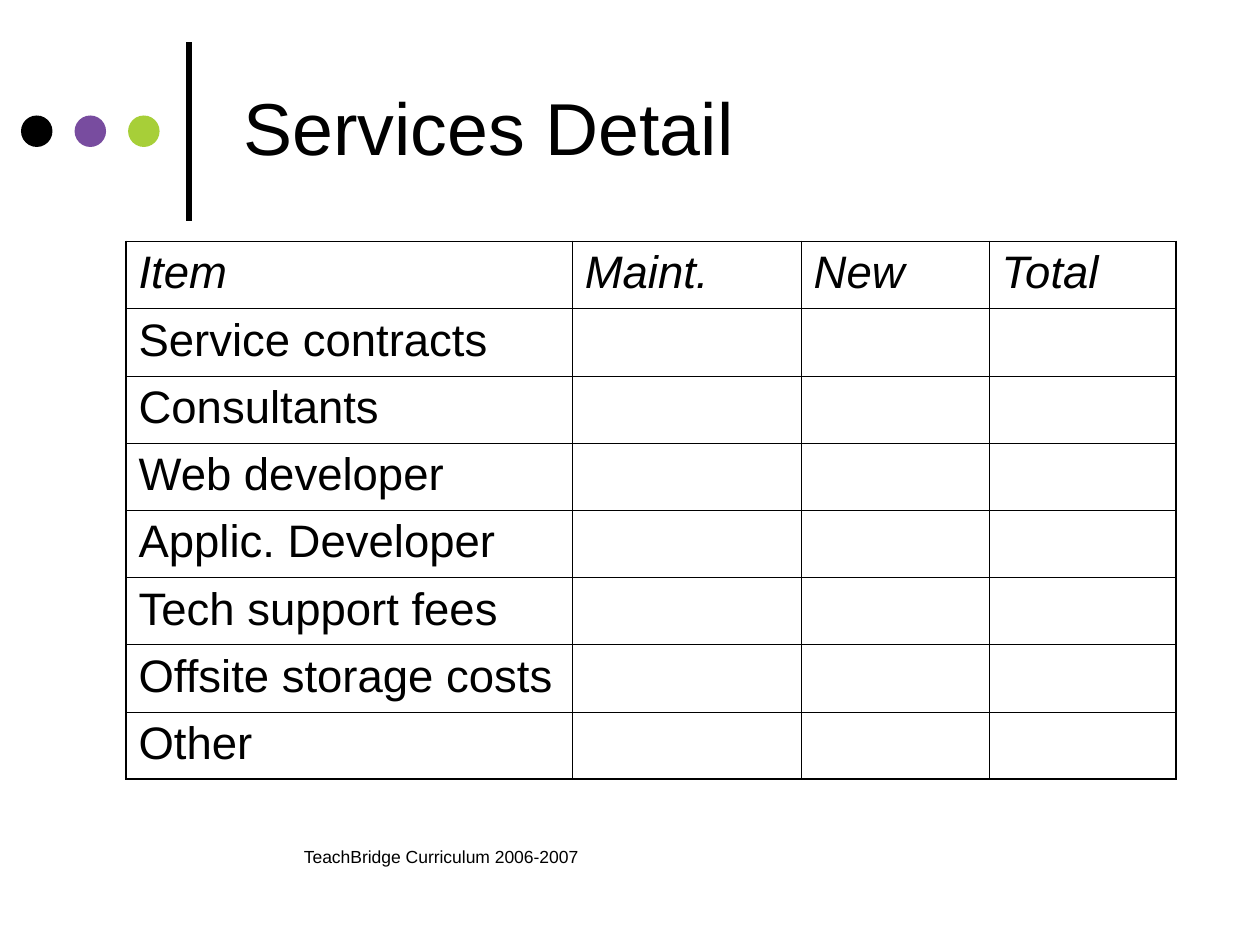
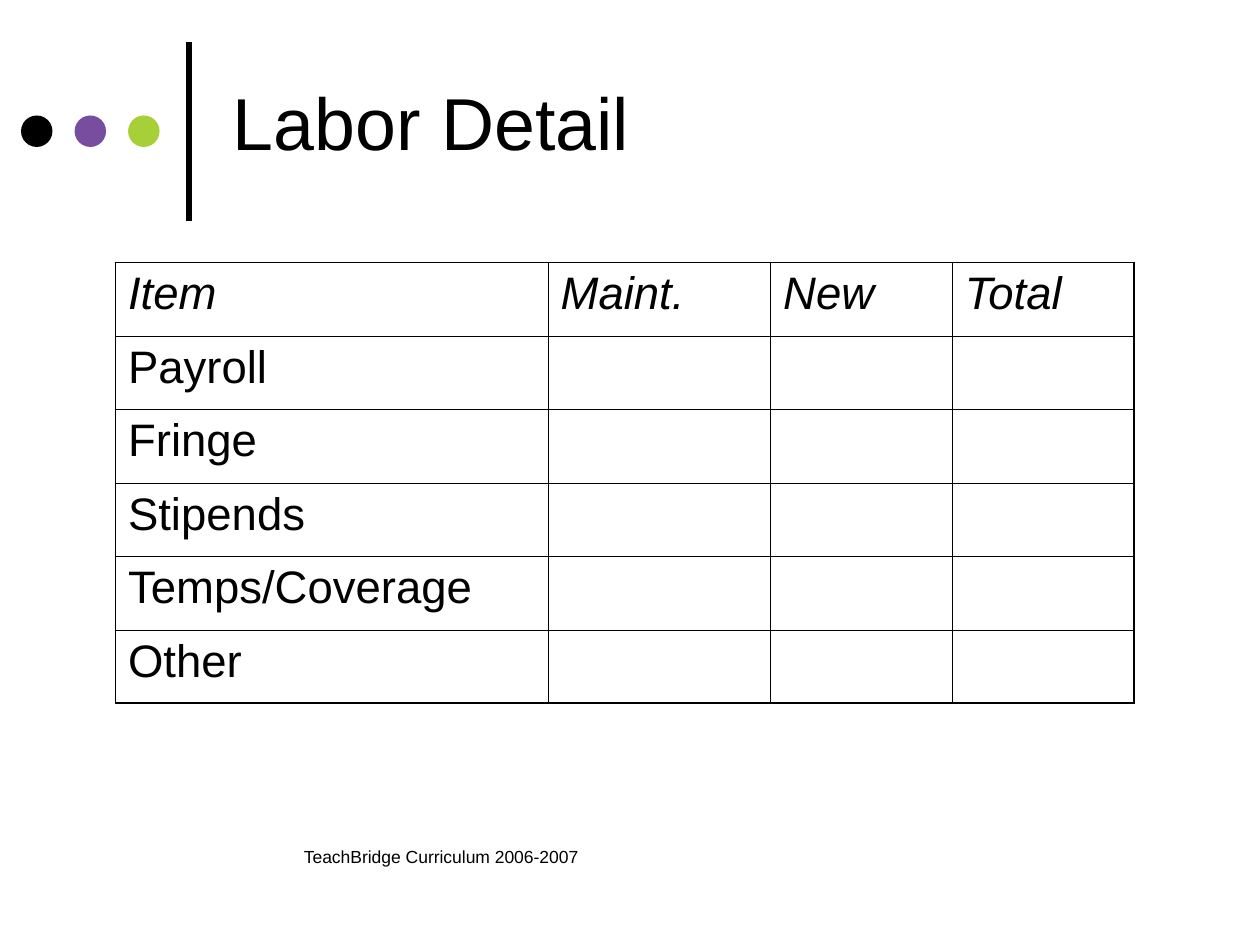
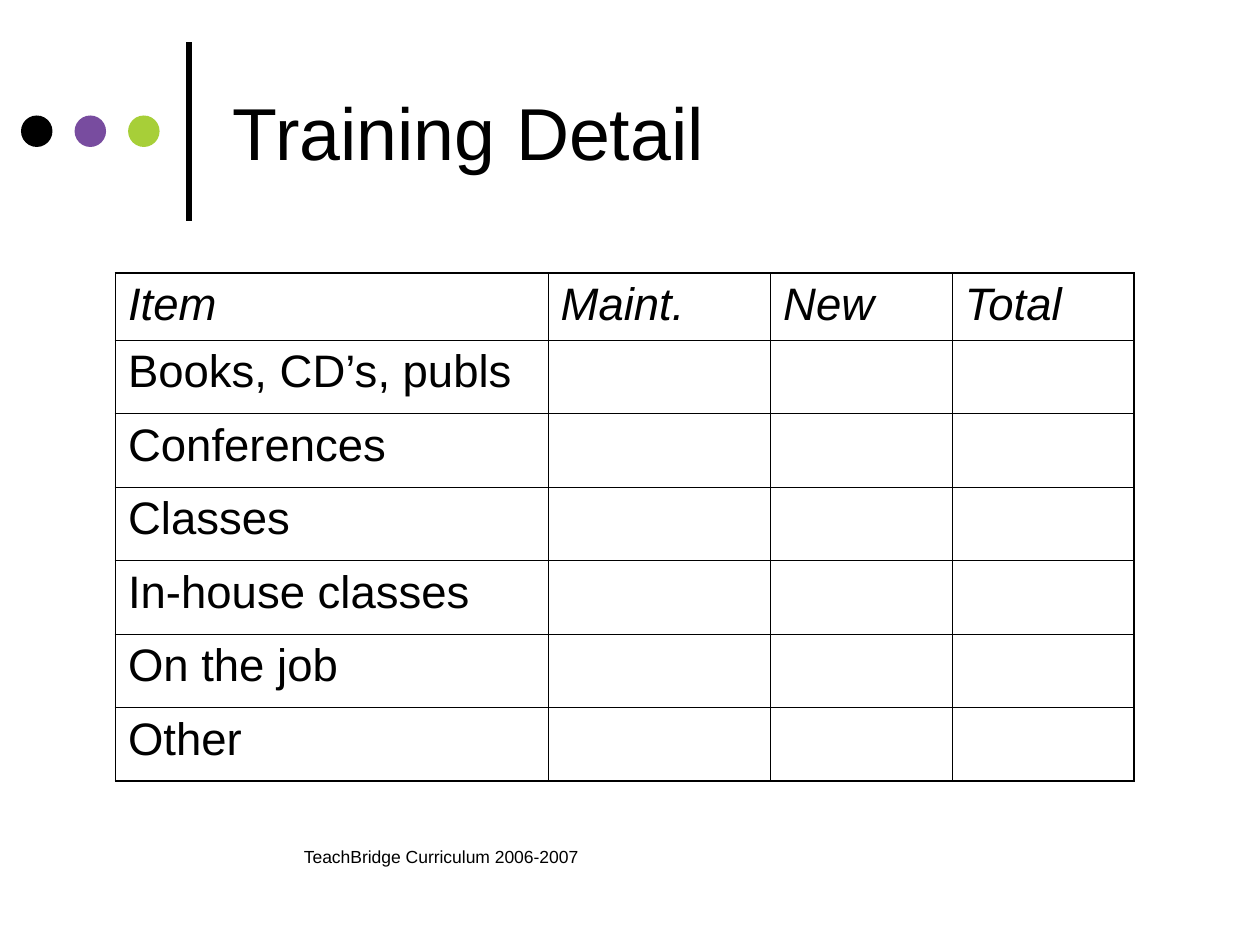
from dataclasses import dataclass

from lxml import etree
from pptx import Presentation
from pptx.dml.color import RGBColor
from pptx.enum.shapes import MSO_CONNECTOR, MSO_SHAPE
from pptx.enum.text import MSO_ANCHOR, PP_ALIGN
from pptx.oxml.ns import qn
from pptx.util import Pt

STRAIGHT = MSO_CONNECTOR.STRAIGHT
OVAL = MSO_SHAPE.OVAL
TOP, MIDDLE = MSO_ANCHOR.TOP, MSO_ANCHOR.MIDDLE
LEFT, CENTER = PP_ALIGN.LEFT, PP_ALIGN.CENTER
EMU_PER_PX = 7620


@dataclass(frozen=True)
class Theme:
    """Colours, font, type sizes and line widths of the deck."""
    ink: str = "000000"
    dots: tuple = ("000000", "784C9F", "A7CF38")
    font: str = "Arial"
    title: int = 42
    body: int = 26
    footer: int = 10
    cell_gap: float = 6.5
    rule: float = 3
    outer: float = 1.08
    inner: float = 0.45


THEME = Theme()
SLIDE_SIZE = (1200, 900)
MOTIF_BOX = (20, 40, 160, 170)
FOOTER_BOX = (230, 800, 380, 60)
FOOTER = "TeachBridge Curriculum 2006-2007"
HEADERS = ("Item", "Maint.", "New", "Total")
COL_SHARES = (412, 212, 173, 173)

DETAILS = (
    dict(title="Services Detail", title_box=(220, 20, 920, 200),
         table_box=(120, 230, 1000), row_heights=(64, 64),
         items=("Service contracts", "Consultants", "Web developer", "Applic. Developer",
                "Tech support fees", "Offsite storage costs", "Other")),
    dict(title="Labor Detail", title_box=(210, 40, 910, 150),
         table_box=(110, 250, 970), row_heights=(70, 70),
         items=("Payroll", "Fringe", "Stipends", "Temps/Coverage", "Other")),
    dict(title="Training Detail", title_box=(210, 50, 910, 150),
         table_box=(110, 260, 970), row_heights=(64, 70),
         items=("Books, CD’s, publs", "Conferences", "Classes", "In-house classes",
                "On the job", "Other")),
)


def px(*lengths):
    """Turn pixel lengths into EMU."""
    return [n * EMU_PER_PX for n in lengths]


def add_run(p, text, size, italic=False):
    """Add one styled run to a paragraph."""
    r = p.add_run()
    r.text = text
    r.font.name = THEME.font
    r.font.size = Pt(size)
    r.font.italic = italic
    r.font.color.rgb = RGBColor.from_string(THEME.ink)


def add_text(s, box, text, size, align=LEFT, anchor=TOP):
    """Add a wrapped one-line text box."""
    tf = s.shapes.add_textbox(*px(*box)).text_frame
    tf.word_wrap = True
    tf.vertical_anchor = anchor
    p = tf.paragraphs[0]
    p.alignment = align
    add_run(p, text, size)


def add_motif(s, box):
    """Draw the row of dots and the vertical rule at the right of the box."""
    x, y, w, h = box
    rule = s.shapes.add_connector(STRAIGHT, *px(x + w, y + h, x + w, y))
    rule.line.color.rgb = RGBColor.from_string(THEME.ink)
    rule.line.width = Pt(THEME.rule)
    etree.SubElement(rule.element.spPr, qn("a:effectLst"))
    size, pitch, drop = 30, 51, 70
    for i, color in enumerate(THEME.dots):
        sp = s.shapes.add_shape(OVAL, *px(x + i * pitch, y + drop, size, size))
        sp.shadow.inherit = False
        sp.fill.solid()
        sp.fill.fore_color.rgb = RGBColor.from_string(color)
        sp.line.fill.background()


def set_borders(cell, **outer_sides):
    """Border a cell, heavier on the sides that lie on the table's edge."""
    tc_pr = cell._tc.get_or_add_tcPr()
    for side, is_outer in outer_sides.items():
        width = Pt(THEME.outer if is_outer else THEME.inner)
        ln = etree.SubElement(tc_pr, qn(f"a:ln{side}"), w=str(width))
        fill = etree.SubElement(ln, qn("a:solidFill"))
        etree.SubElement(fill, qn("a:srgbClr"), val=THEME.ink)


def add_cost_table(s, box, row_heights, items):
    """Add the cost grid: a header row, then one row for each item."""
    x, y, w = box
    header_h, row_h = row_heights
    n_rows, n_cols = len(items) + 1, len(HEADERS)
    frame = s.shapes.add_table(n_rows, n_cols, *px(x, y, w, header_h + row_h * len(items)))
    table = frame.table
    table.first_row = table.horz_banding = False
    edges = [round(w * sum(COL_SHARES[:i]) / sum(COL_SHARES)) for i in range(n_cols + 1)]
    for col, start, end in zip(table.columns, edges, edges[1:]):
        col.width, = px(end - start)
    for i, row in enumerate(table.rows):
        row.height, = px(row_h if i else header_h)
        texts = (items[i - 1],) + ("",) * (n_cols - 1) if i else HEADERS
        for j, (cell, text) in enumerate(zip(row.cells, texts)):
            set_borders(cell, L=j == 0, R=j == n_cols - 1, T=i == 0, B=i == n_rows - 1)
            cell.fill.background()
            if text:
                p = cell.text_frame.paragraphs[0]
                p.space_before = Pt(THEME.cell_gap)
                add_run(p, text, THEME.body, italic=i == 0)


def add_detail_slide(prs, title, title_box, table_box, row_heights, items):
    """Add one cost detail slide."""
    s = prs.slides.add_slide(prs.slide_layouts[6])
    add_motif(s, MOTIF_BOX)
    add_text(s, title_box, title, THEME.title, anchor=MIDDLE)
    add_cost_table(s, table_box, row_heights, items)
    add_text(s, FOOTER_BOX, FOOTER, THEME.footer, align=CENTER)


def main():
    """Build and save the deck."""
    prs = Presentation()
    prs.slide_width, prs.slide_height = px(*SLIDE_SIZE)
    for detail in DETAILS:
        add_detail_slide(prs, **detail)
    prs.save("out.pptx")


if __name__ == "__main__":
    main()
